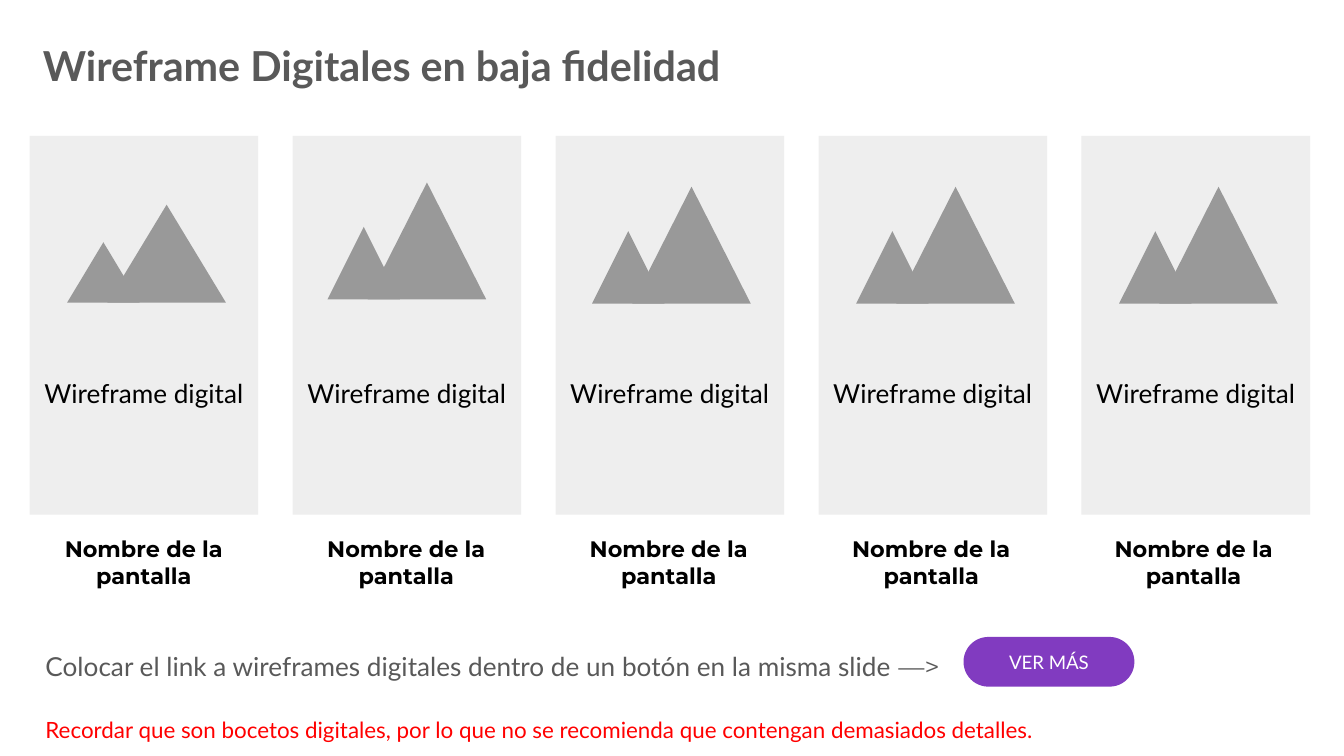
from pptx import Presentation
from pptx.dml.color import RGBColor
from pptx.enum.shapes import MSO_SHAPE as Preset
from pptx.enum.text import MSO_ANCHOR as Anchor, MSO_AUTO_SIZE as AutoSize, PP_ALIGN as Align
from pptx.util import Cm, Pt

INSET = 0.25
CARD_LEFT, CARD_TOP, CARD_WIDTH, CARD_HEIGHT = 0.56, 2.57, 4.32, 7.16
CARD_PITCH, LABEL_PITCH = 4.97, 4.96
SMALL_WIDTH, LARGE_WIDTH, LARGE_SHIFT = 1.37, 2.24, 0.76

# Each row: offset inside the card, base line, small height, large height.
MOUNTAINS = [
    (0.71, 5.72, 1.14, 1.85),
    (0.66, 5.66, 1.37, 2.21),
    (0.69, 5.74, 1.37, 2.21),
    (0.71, 5.74, 1.37, 2.21),
    (0.71, 5.74, 1.37, 2.21),
]

TITLE = {"name": "Lato", "size": Pt(22.1), "bold": True, "color": "595959"}
CARD = {"name": "Lato", "size": Pt(14), "color": "000000"}
LABEL = {"name": "Montserrat", "size": Pt(12), "bold": True, "color": "000000"}
GUIDE = {"name": "Lato", "size": Pt(14), "color": "595959"}
ARROW = {**GUIDE, "name": "Montserrat"}
BUTTON = {"name": "Lato", "size": Pt(10), "color": "FFFFFF"}
WARNING = {"name": "Lato", "size": Pt(12), "color": "FF0000"}


def paint(color_format, hex_code):
    """Set a colour from a hex string."""
    color_format.rgb = RGBColor.from_string(hex_code)


def place(box, left, top, width, height):
    """Move and size a box, in centimetres."""
    for name, value in zip(("left", "top", "width", "height"), (left, top, width, height)):
        setattr(box, name, Cm(value))


def write(box, paragraphs, align=Align.LEFT, anchor=Anchor.TOP, line_spacing=None, margin_top=INSET):
    """Fill a box with paragraphs, each a list of text and format pairs."""
    frame = box.text_frame
    layout = {"word_wrap": True, "auto_size": AutoSize.NONE, "vertical_anchor": anchor,
              "margin_top": Cm(margin_top), "margin_bottom": Cm(INSET),
              "margin_left": Cm(INSET), "margin_right": Cm(INSET)}
    for name, value in layout.items():
        setattr(frame, name, value)
    for index, spans in enumerate(paragraphs):
        para = frame.add_paragraph() if index else frame.paragraphs[0]
        para.alignment = align
        para.line_spacing = line_spacing
        for text, style in spans:
            span = para.add_run()
            span.text = text
            for name, value in style.items():
                if name == "color":
                    paint(span.font.color, value)
                else:
                    setattr(span.font, name, value)


def add_block(parent, preset, at, color):
    """Add a flat filled shape without a line."""
    block = parent.shapes.add_shape(preset, *map(Cm, at))
    block.shadow.inherit = False
    block.fill.solid()
    paint(block.fill.fore_color, color)
    block.line.fill.background()
    return block


def add_text(page, at, paragraphs, **layout):
    """Add a text box."""
    write(page.shapes.add_textbox(*map(Cm, at)), paragraphs, **layout)


def add_card(page, left, mountains):
    """Add one grouped wireframe card with its two mountains."""
    offset, base, small, large = mountains
    group = page.shapes.add_group_shape()
    card = add_block(group, Preset.RECTANGLE, (left, CARD_TOP, CARD_WIDTH, CARD_HEIGHT), "EEEEEE")
    write(card, [[("Wireframe digital", CARD)]], align=Align.CENTER,
          anchor=Anchor.MIDDLE, margin_top=2.8)
    for shift, width, height in ((0, SMALL_WIDTH, small), (LARGE_SHIFT, LARGE_WIDTH, large)):
        add_block(group, Preset.ISOSCELES_TRIANGLE,
                  (left + offset + shift, base - height, width, height), "999999")


def main():
    """Build the slide and save it."""
    deck = Presentation()
    deck.slide_width, deck.slide_height = Cm(25.4), Cm(14.29)
    page = deck.slides.add_slide(deck.slide_layouts[5])

    title = page.shapes.title
    place(title, 0.56, 0.69, 17.12, 1.27)
    write(title, [[("Wireframe Digitales en baja fidelidad", TITLE)]], line_spacing=0.8)

    for index, mountains in enumerate(MOUNTAINS):
        add_card(page, CARD_LEFT + index * CARD_PITCH, mountains)
        add_text(page, (CARD_LEFT + index * LABEL_PITCH, 9.78, CARD_WIDTH, 1.7),
                 [[("Nombre de la", LABEL)], [("pantalla", LABEL)]],
                 align=Align.CENTER, anchor=Anchor.MIDDLE)

    add_text(page, (0.61, 12.04, 18.69, 1.37),
             [[("Colocar el link a wireframes digitales dentro de un botón en la misma slide ", GUIDE),
               ("—>", ARROW)]])
    button = add_block(page, Preset.ROUNDED_RECTANGLE, (18.21, 12.04, 3.23, 0.94), "813BC0")
    button.adjustments[0] = 0.5
    write(button, [[("VER MÁS", BUTTON)]], align=Align.CENTER, anchor=Anchor.MIDDLE)
    add_text(page, (0.61, 13.28, 24.21, 1.02),
             [[("Recordar que son bocetos digitales, por lo que no se recomienda "
                "que contengan demasiados detalles.", WARNING)]])

    deck.save("out.pptx")


if __name__ == "__main__":
    main()
